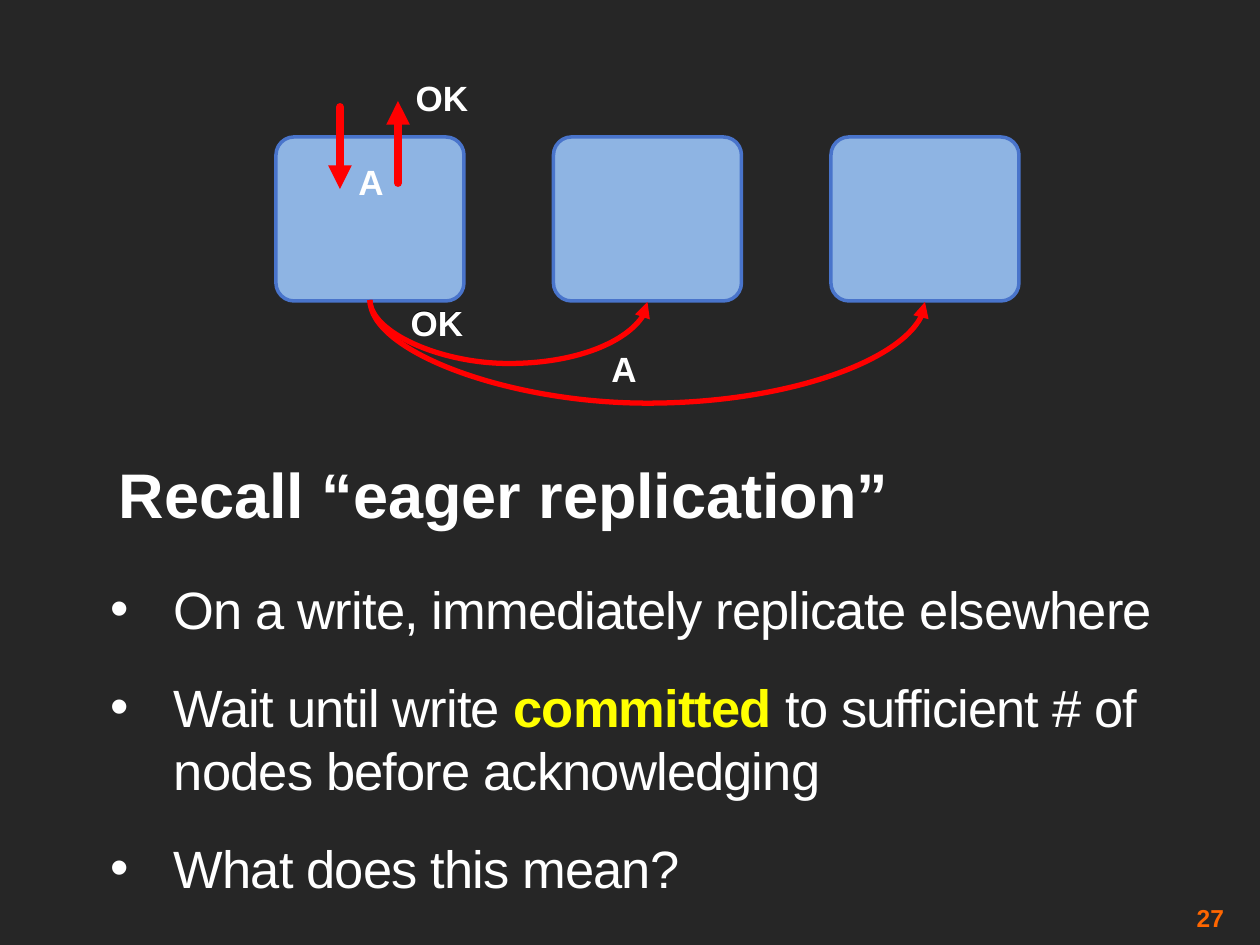
import pptx
import pptx.dml.color
import pptx.enum.shapes
import pptx.enum.text
import pptx.oxml.ns
import pptx.util
from lxml import etree

PX = 914400 / 126
COLORS = {"background": "262626", "text": "FFFFFF", "shadow": "000000",
          "highlight": "FFFF00", "number": "FF6600", "node": "8EB4E3",
          "node_edge": "4974CB", "arrow": "FF0000"}
ALIGN = pptx.enum.text.PP_ALIGN
ANCHOR = pptx.enum.text.MSO_ANCHOR


def px(length):
    return pptx.util.Emu(round(length * PX))


def rgb(name):
    return pptx.dml.color.RGBColor.from_string(COLORS[name])


def add_xml(parent, tag, **attributes):
    return etree.SubElement(parent, pptx.oxml.ns.qn(tag), attributes)


def add_span(para, text, size=20, color="text", bold=True, spacing=None):
    span = para.add_run()
    span.text = text
    span.font.name = "Arial"
    span.font.size = pptx.util.Pt(size)
    span.font.bold = bold
    span.font.color.rgb = rgb(color)
    if spacing is not None:
        span.font._element.set("spc", str(spacing))


class SlideBuilder:
    def __init__(self, deck):
        self.page = deck.slides.add_slide(deck.slide_layouts[5])
        self.shapes = self.page.shapes
        fill = self.page.background.fill
        fill.solid()
        fill.fore_color.rgb = rgb("background")

    def title(self, text, left, top, width, height):
        box = self.shapes.title
        box.left, box.top, box.width, box.height = map(px, (left, top, width, height))
        frame = box.text_frame
        frame.auto_size = pptx.enum.text.MSO_AUTO_SIZE.NONE
        frame.vertical_anchor = ANCHOR.MIDDLE
        frame.paragraphs[0].alignment = ALIGN.LEFT
        add_span(frame.paragraphs[0], text, size=36)

    def text_frame(self, left, top, width, height, anchor=ANCHOR.MIDDLE, inset=5):
        frame = self.shapes.add_textbox(*map(px, (left, top, width, height))).text_frame
        frame.word_wrap = True
        frame.vertical_anchor = anchor
        if inset is not None:
            frame.margin_left = frame.margin_right = px(inset)
            frame.margin_top = frame.margin_bottom = px(inset)
        return frame

    def bullets(self, items, *bounds):
        frame = self.text_frame(*bounds)
        for index, spans in enumerate(items):
            para = frame.paragraphs[0] if index == 0 else frame.add_paragraph()
            para.space_before = pptx.util.Pt(14)
            para.space_after = pptx.util.Pt(6)
            properties = para._p.get_or_add_pPr()
            properties.set("marL", str(px(63)))
            properties.set("indent", str(px(-63)))
            add_xml(properties, "a:buFont", typeface="Arial")
            add_xml(properties, "a:buChar", char="•")
            for text, style in spans:
                add_span(para, text, size=30, spacing=-50, **style)

    def label(self, text, left, top, width, color="text"):
        frame = self.text_frame(left, top, width, 55, anchor=ANCHOR.TOP, inset=None)
        frame.paragraphs[0].alignment = ALIGN.CENTER
        add_span(frame.paragraphs[0], text, color=color)

    def number(self, text, *bounds):
        para = self.text_frame(*bounds).paragraphs[0]
        para.alignment = ALIGN.RIGHT
        add_span(para, text, size=14, color="number")

    def node(self, left, top, width, height):
        kind = pptx.enum.shapes.MSO_SHAPE.ROUNDED_RECTANGLE
        shape = self.shapes.add_shape(kind, *map(px, (left, top, width, height)))
        shape.adjustments[0] = 0.11
        shape.shadow.inherit = False
        shape.fill.solid()
        shape.fill.fore_color.rgb = rgb("node")
        shape.line.color.rgb = rgb("node_edge")
        shape.line.width = pptx.util.Pt(2)

    def connector(self, kind, start, end, weight):
        connector = self.shapes.add_connector(kind, *map(px, (*start, *end)))
        connector.line.color.rgb = rgb("arrow")
        connector.line.width = pptx.util.Pt(weight)
        add_xml(connector.line._get_or_add_ln(), "a:tailEnd", type="triangle")
        add_xml(connector._element.spPr, "a:effectLst")
        return connector

    def arrow(self, start, end):
        kind = pptx.enum.shapes.MSO_CONNECTOR.STRAIGHT
        connector = self.connector(kind, start, end, 4.5)
        connector.line._get_or_add_ln().set("cap", "rnd")

    def arc(self, start_x, end_x, top, depth):
        """Curve that dips below two nodes: an S-connector turned by 270 degrees."""
        rise = 2
        center_x, center_y = (start_x + end_x) / 2, top + rise / 2
        half = (end_x - start_x) / 2
        connector = self.connector(
            pptx.enum.shapes.MSO_CONNECTOR.CURVE,
            (center_x + rise / 2, center_y - half),
            (center_x - rise / 2, center_y + half), 3)
        properties = connector._element.spPr
        properties.find(pptx.oxml.ns.qn("a:xfrm")).set("rot", str(270 * 60000))
        guides = properties.find(".//" + pptx.oxml.ns.qn("a:avLst"))
        add_xml(guides, "a:gd", name="adj1", fmla=f"val {depth * 100000 // rise}")


def main():
    deck = pptx.Presentation()
    deck.slide_width, deck.slide_height = px(1260), px(945)
    slide = SlideBuilder(deck)

    # Title, bullets and slide number
    slide.title("Recall “eager replication”", 106, 413, 1071, 161)
    plain = {"bold": False}
    slide.bullets([
        [("On a write, immediately replicate elsewhere", plain)],
        [("Wait until write ", plain),
         ("committed ", {"color": "highlight"}),
         ("to sufficient # of nodes before acknowledging", plain)],
        [("What does this mean?", plain)],
    ], 106, 546, 1123, 384)
    slide.number("27", 935, 903, 294, 29)

    # Three replica nodes
    node_left, node_top, node_width, node_height, pitch = 276, 137, 188, 164, 277.5
    for index in range(3):
        slide.node(node_left + index * pitch, node_top, node_width, node_height)

    # Write request and acknowledgement
    slide.arrow((340, 107), (340, 189))
    slide.arrow((398, 183), (398, 101))
    slide.label("A", 344, 154, 54)
    slide.label("OK", 397, 70, 90)

    # Replication from the first node to the others
    source = node_left + node_width / 2
    for hops, depth in ((1, 64), (2, 104)):
        slide.arc(source, source + hops * pitch, 300, depth)
    slide.label("A", 597, 341, 54)
    for top, color in ((294, "shadow"), (295, "text")):
        slide.label("OK", 392, top, 90, color=color)

    deck.save("out.pptx")


if __name__ == "__main__":
    main()
